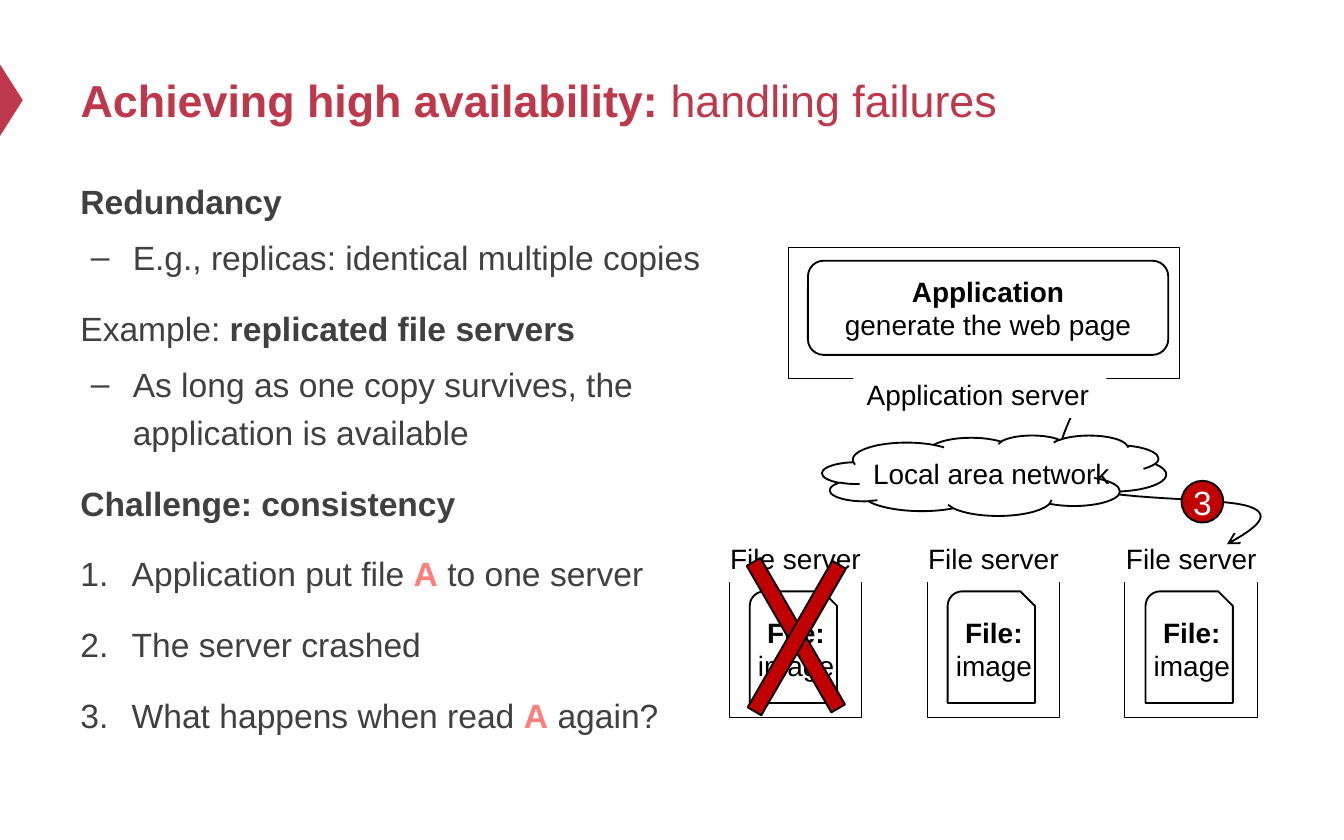
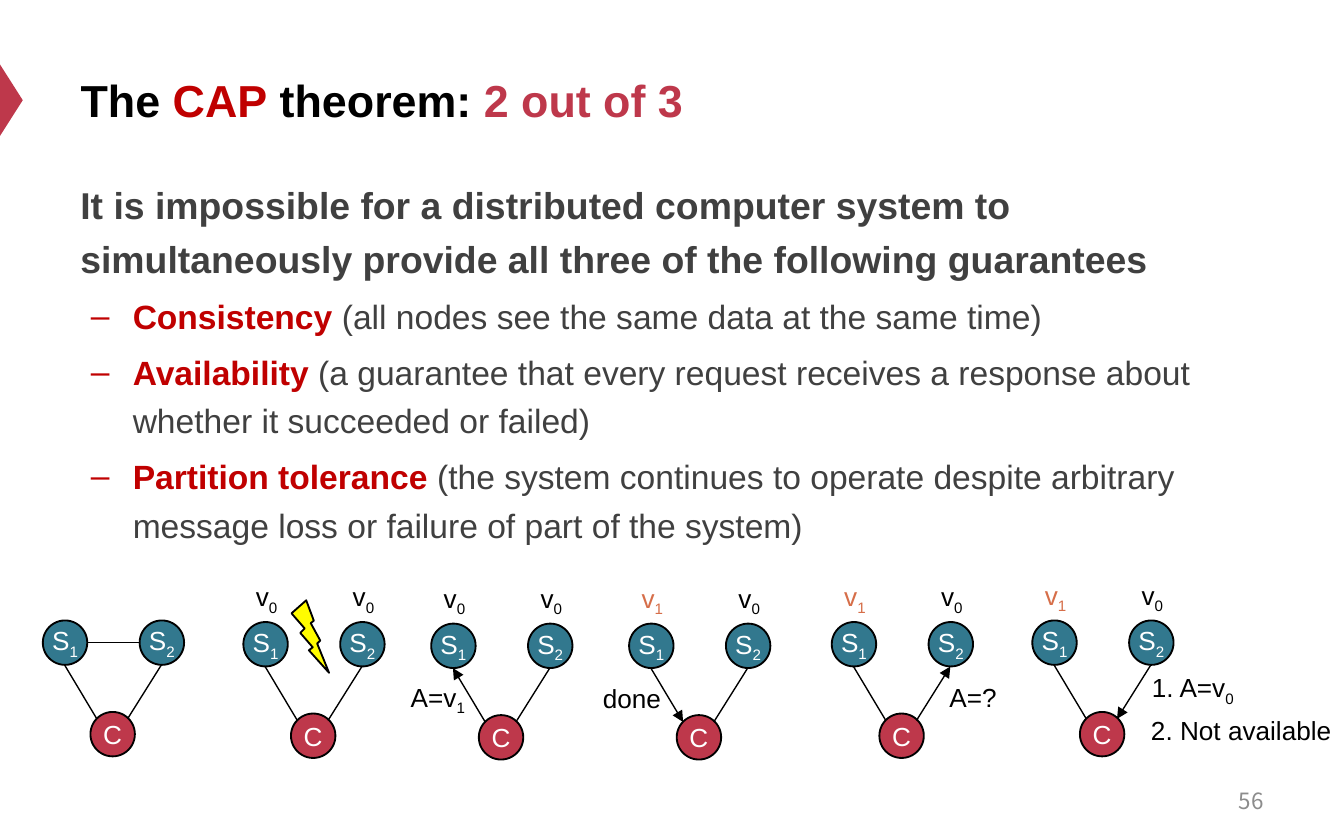
from lxml import etree
from pptx import Presentation
from pptx.dml.color import RGBColor
from pptx.enum.shapes import MSO_CONNECTOR, MSO_SHAPE
from pptx.enum.text import MSO_ANCHOR, PP_ALIGN
from pptx.oxml.ns import qn
from pptx.util import Cm, Pt

LEFT, CENTER, RIGHT = PP_ALIGN.LEFT, PP_ALIGN.CENTER, PP_ALIGN.RIGHT
MIDDLE, TOP = MSO_ANCHOR.MIDDLE, MSO_ANCHOR.TOP
RECT, ROUND, OVAL = MSO_SHAPE.RECTANGLE, MSO_SHAPE.ROUNDED_RECTANGLE, MSO_SHAPE.OVAL
SNIP, CLOUD = MSO_SHAPE.SNIP_ROUND_RECTANGLE, MSO_SHAPE.CLOUD
BOLT, TRIANGLE = MSO_SHAPE.LIGHTNING_BOLT, MSO_SHAPE.ISOSCELES_TRIANGLE
STRAIGHT = MSO_CONNECTOR.STRAIGHT

COLORS = {
    "accent": "BE384B", "text": "404040", "black": "000000", "white": "FFFFFF",
    "red": "C00000", "pink": "FF7E79", "teal": "32788E", "orange": "D66E49",
    "yellow": "FFFC00", "gray": "8C8C8C",
}
FONT, NUMBER_FONT = "Arial", "Noto Sans CJK SC"

FAILURE_TITLE = [("Achieving high availability: ", "accent", True),
                 ("handling failures", "accent", False)]
FAILURE_BODY = [
    ("lead", 18, [("Redundancy", "text", True)]),
    ("dash", 18, [("E.g., replicas: identical multiple copies", "text", False)]),
    ("lead", 18, [("Example: ", "text", False),
                  ("replicated file servers", "text", True)]),
    ("dash", 18, [("As long as one copy survives, the application is available",
                   "text", False)]),
    ("lead", 18, [("Challenge: consistency", "text", True)]),
    ("number", 18, [("Application put file ", "text", False), ("A", "pink", True),
                    (" to one server", "text", False)]),
    ("number", 18, [("The server crashed", "text", False)]),
    ("number", 18, [("What happens when read ", "text", False), ("A", "pink", True),
                    (" again?", "text", False)]),
]
FILE_TEXT = [[("File:", "black", True)], [("image", "black", False)]]
APP_TEXT = [[("Application", "black", True)],
            [("generate the web page", "black", False)]]
SERVER_COUNT, SERVER_X, SERVER_STEP = 3, 13.78, 3.74
READ_START = (20.29, 7.77)
READ_CURVES = [
    [(20.04, 8.33), (19.79, 8.86), (20.35, 9.17)],
    [(20.9, 9.47), (23.16, 9.4), (23.62, 9.58)],
    [(24.1, 9.75), (23.65, 10.03), (23.19, 10.29)],
]
CURVE_STEPS = 16
CROSS_BARS = [(13.44, 11.86, 60), (13.46, 11.91, 300)]

CAP_TITLE = [("The ", "black", True), ("CAP", "red", True),
             (" theorem: ", "black", True), ("2 out of 3", "accent", True)]
CAP_BODY = [
    ("lead", 20, [("It is impossible for a distributed computer system to "
                   "simultaneously provide all three of the following guarantees",
                   "text", True)]),
    ("dash", 18, [("Consistency", "red", True),
                  (" (all nodes see the same data at the same time)",
                   "text", False)]),
    ("dash", 18, [("Availability", "red", True),
                  (" (a guarantee that every request receives a response about "
                   "whether it succeeded or failed)", "text", False)]),
    ("dash", 18, [("Partition tolerance ", "red", True),
                  ("(the system continues to operate despite arbitrary message "
                   "loss or failure of part of the system)", "text", False)]),
]
CLUSTERS = [
    {"at": (0.81, 11.73), "versions": [], "arrows": {}, "linked": True},
    {"at": (4.6, 11.76), "versions": ["v_0", "v_0"], "arrows": {}},
    {"at": (8.15, 11.79), "versions": ["v_0", "v_0"], "arrows": {0: "headEnd"}},
    {"at": (11.89, 11.79), "versions": ["v_1", "v_0"], "arrows": {0: "tailEnd"}},
    {"at": (15.72, 11.76), "versions": ["v_1", "v_0"], "arrows": {1: "headEnd"}},
    {"at": (19.51, 11.73), "versions": ["v_1", "v_0"], "arrows": {1: "tailEnd"}},
]
NODE = 0.84
NODES = [("S_1", 0, 0, "teal"), ("S_2", 1.83, 0, "teal"), ("C", 0.9, 1.73, "accent")]
CLIENT_LINKS = [((0.41, 0.84), (1.02, 1.86)), ((2.24, 0.84), (1.6, 1.86))]
MESSAGES = [
    ("A=v_1", 7.49, 12.75, 1.57), ("done", 11.13, 12.78, 1.63),
    ("A=?", 17.68, 12.75, 1.42), ("1. A=v_0", 21.49, 12.57, 2.11),
    ("2. Not available", 21.49, 13.39, 3.94),
]


def rgb(name):
    return RGBColor.from_string(COLORS[name])


def add_runs(p, runs, size, font=FONT):
    for text, color, bold in runs:
        for i, part in enumerate(text.split("_")):
            r = p.add_run()
            r.text = part
            r.font.name, r.font.size, r.font.bold = font, Pt(size), bold
            r.font.color.rgb = rgb(color)
            if i:
                r._r.get_or_add_rPr().set("baseline", "-25000")


def add_text(tf, paras, size, align=CENTER, anchor=TOP, wrap=False, font=FONT):
    tf.word_wrap, tf.vertical_anchor = wrap, anchor
    for i, runs in enumerate(paras):
        p = tf.add_paragraph() if i else tf.paragraphs[0]
        p.alignment = align
        add_runs(p, runs, size, font)


def add_box(slide, kind, box, fill, line=1, rotation=0):
    sp = slide.shapes.add_shape(kind, *map(Cm, box))
    sp.shadow.inherit = False
    sp.rotation = rotation
    sp.fill.solid()
    sp.fill.fore_color.rgb = rgb(fill)
    if line:
        sp.line.color.rgb = rgb("black")
        sp.line.width = Pt(line)
    else:
        sp.line.fill.background()
    return sp


def add_label(slide, box, paras, size, fill=None, **style):
    sp = slide.shapes.add_textbox(*map(Cm, box))
    if fill:
        sp.fill.solid()
        sp.fill.fore_color.rgb = rgb(fill)
    add_text(sp.text_frame, paras, size, **style)


def add_disc(slide, x, y, diameter, text, fill, size):
    sp = add_box(slide, OVAL, (x, y, diameter, diameter), fill)
    tf = sp.text_frame
    tf.margin_left = tf.margin_right = tf.margin_top = tf.margin_bottom = 0
    add_text(tf, [[(text, "white", False)]], size, anchor=MIDDLE)


def set_arrow(sp, end, kind):
    etree.SubElement(sp.line._get_or_add_ln(), qn(f"a:{end}"), type=kind)


def add_line(slide, start, end, arrow=None):
    cn = slide.shapes.add_connector(STRAIGHT, *map(Cm, start + end))
    cn.line.color.rgb = rgb("black")
    cn.line.width = Pt(0.75)
    etree.SubElement(cn._element.spPr, qn("a:effectLst"))
    if arrow:
        set_arrow(cn, arrow, "triangle")


def add_bullet(p, kind):
    pPr = p._p.get_or_add_pPr()
    margin, hang = (0.99, 0.79) if kind == "dash" else (0.97, 0.97)
    pPr.set("marL", str(Cm(margin)))
    pPr.set("indent", str(-Cm(hang)))
    if kind == "dash":
        etree.SubElement(pPr, qn("a:buFont"), typeface=FONT)
        etree.SubElement(pPr, qn("a:buChar"), char="–")
    else:
        etree.SubElement(pPr, qn("a:buAutoNum"), type="arabicPeriod")


def add_body(slide, width, height, items):
    sp = slide.shapes.add_textbox(Cm(1.27), Cm(3.15), Cm(width), Cm(height))
    tf = sp.text_frame
    tf.word_wrap = True
    for i, (kind, size, runs) in enumerate(items):
        p = tf.add_paragraph() if i else tf.paragraphs[0]
        p.line_spacing = 1.2
        if i:
            p.space_before = Pt(4 if kind == "dash" else 12)
        if kind != "lead":
            add_bullet(p, kind)
        add_runs(p, runs, size)


def new_slide(prs, title):
    slide = prs.slides.add_slide(prs.slide_layouts[5])
    add_box(slide, TRIANGLE, (-0.46, 1.68, 1.35, 0.43), "accent", 0, 90)
    sp = slide.shapes.title
    sp.left, sp.top, sp.width, sp.height = map(Cm, (1.27, 0.64, 22.86, 2.49))
    add_text(sp.text_frame, [title], 24, LEFT, MIDDLE, True)
    return slide


def bezier(p0, p1, p2, p3, t):
    u = 1 - t
    return tuple(Cm(u**3 * a + 3 * u**2 * t * b + 3 * u * t**2 * c + t**3 * d)
                 for a, b, c, d in zip(p0, p1, p2, p3))


def add_read_path(slide):
    points, start = [], READ_START
    for curve in READ_CURVES:
        points += [bezier(start, *curve, k / CURVE_STEPS)
                   for k in range(1, CURVE_STEPS + 1)]
        start = curve[-1]
    builder = slide.shapes.build_freeform(*map(Cm, READ_START))
    builder.add_line_segments(points, close=False)
    sp = builder.convert_to_shape()
    sp.shadow.inherit = False
    sp.fill.background()
    sp.line.color.rgb = rgb("black")
    sp.line.width = Pt(1)
    set_arrow(sp, "tailEnd", "arrow")


def add_server(slide, x):
    add_box(slide, RECT, (x, 10.82, 2.51, 2.74), "white", 0.5)
    add_box(slide, SNIP, (x + 0.39, 11.18, 1.65, 2.11), "white")
    add_label(slide, (x + 0.01, 11.51, 2.51, 1.55), FILE_TEXT, 15, wrap=True)
    add_label(slide, (x - 0.23, 10.11, 3.02, 0.89),
              [[("File server", "black", False)]], 15, "white", align=LEFT)


def add_cluster(slide, cluster):
    x, y = cluster["at"]
    for text, dx, dy, fill in NODES:
        add_disc(slide, x + dx, y + dy, NODE, text, fill, 14)
    if cluster.get("linked"):
        add_line(slide, (x + NODE, y + NODE / 2), (x + NODES[1][1], y + NODE / 2))
    for i, ((x1, y1), (x2, y2)) in enumerate(CLIENT_LINKS):
        add_line(slide, (x + x1, y + y1), (x + x2, y + y2), cluster["arrows"].get(i))
    for node, version in zip(NODES, cluster["versions"]):
        color = "orange" if version == "v_1" else "black"
        add_label(slide, (x + node[1] - 0.03, y - 0.91, 0.94, 0.86),
                  [[(version, color, False)]], 14)


def build_failures(prs):
    slide = new_slide(prs, FAILURE_TITLE)
    add_body(slide, 12.27, 11.63, FAILURE_BODY)
    for i in range(SERVER_COUNT):
        add_server(slide, SERVER_X + i * SERVER_STEP)
    add_read_path(slide)
    add_box(slide, RECT, (14.91, 4.67, 7.39, 2.49), "white", 0.5)
    app = add_box(slide, ROUND, (15.27, 4.93, 6.81, 1.78), "white")
    add_text(app.text_frame, APP_TEXT, 15, anchor=MIDDLE, wrap=True)
    add_label(slide, (16.13, 7.01, 4.78, 0.89),
              [[("Application server", "black", False)]], 15, "white", align=LEFT)
    add_disc(slide, 22.33, 9.09, 0.79, "3", "red", 18)
    add_box(slide, CLOUD, (15.54, 8.23, 6.5, 1.52), "white")
    add_label(slide, (15.65, 8.51, 6.17, 0.89),
              [[("Local area network", "black", False)]], 15, wrap=True)
    for x, y, angle in CROSS_BARS:
        add_box(slide, RECT, (x, y, 3.2, 0.3), "red", rotation=angle)


def build_cap(prs):
    slide = new_slide(prs, CAP_TITLE)
    add_body(slide, 22.86, 10.46, CAP_BODY)
    add_label(slide, (18.21, 14.71, 5.92, 0.84), [[("56", "gray", False)]], 12,
              align=RIGHT, anchor=MIDDLE, wrap=True, font=NUMBER_FONT)
    for cluster in CLUSTERS:
        add_cluster(slide, cluster)
    for text, x, y, width in MESSAGES:
        add_label(slide, (x, y, width, 0.86), [[(text, "black", False)]], 14)
    add_box(slide, BOLT, (5.51, 11.35, 0.71, 1.37), "yellow")


def main():
    prs = Presentation()
    prs.slide_width, prs.slide_height = Cm(25.4), Cm(15.88)
    build_failures(prs)
    build_cap(prs)
    prs.save("out.pptx")


if __name__ == "__main__":
    main()
